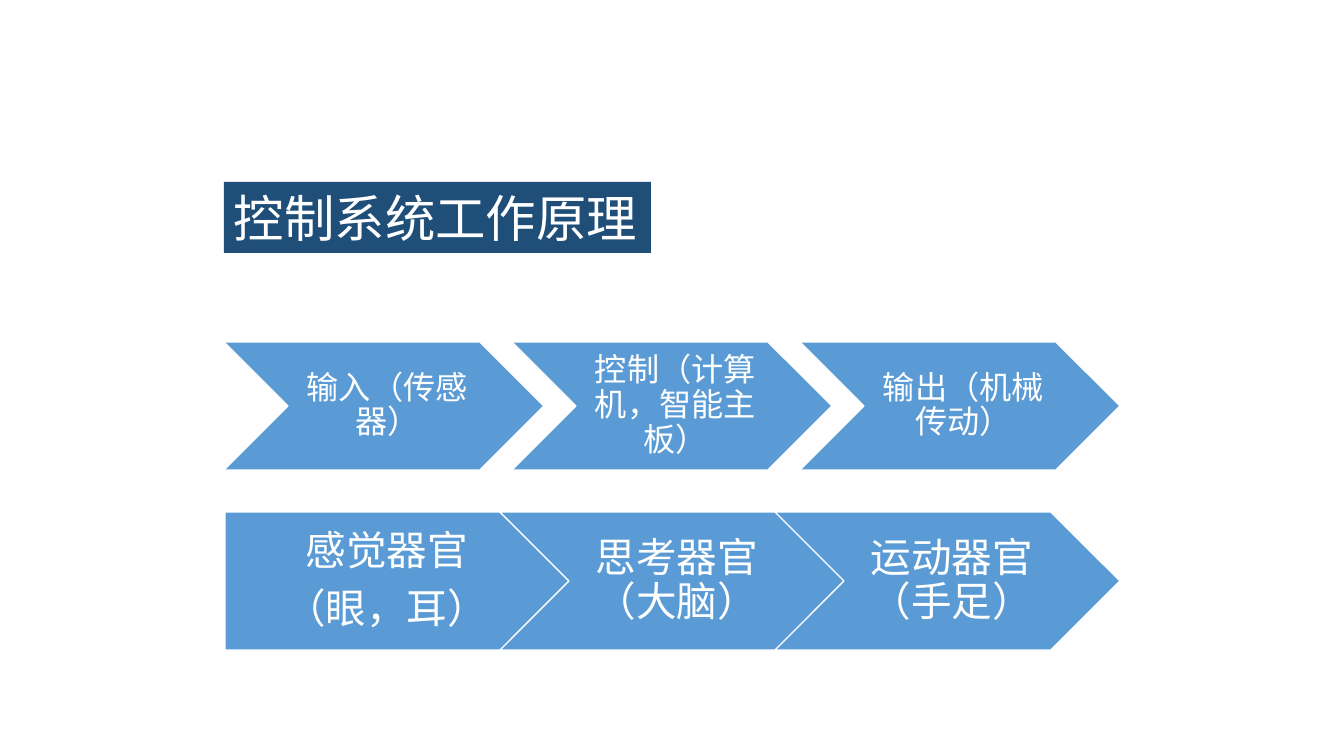
from dataclasses import dataclass
from lxml import etree
from pptx import Presentation, util as u
from pptx.dml.color import RGBColor
from pptx.enum import shapes, text
from pptx.oxml.ns import qn

PX = 914400 / 100.8
CHEVRON = shapes.MSO_SHAPE.CHEVRON
PLATE = shapes.MSO_SHAPE.PENTAGON


@dataclass(frozen=True)
class Theme:
    font: str = "Noto Sans CJK SC"
    white: str = "FFFFFF"
    blue: str = "5B9BD5"
    navy: str = "1F4E79"
    title: int = 36
    upper: int = 23
    lower: int = 29


theme = Theme()

TITLE = "控制系统工作原理"
# Insets run left, top, right, bottom.
ROWS = [
    dict(left=224, top=342, width=320, height=128, step=288, size=theme.upper,
         steps=[(CHEVRON, ["输入（传感器）"], (10, 3, 3, 3)),
                (CHEVRON, ["控制（计算机，智能主板）"], (10, 3, 3, 3)),
                (CHEVRON, ["输出（机械传动）"], (10, 3, 3, 3))]),
    dict(left=225, top=512, width=345, height=138, step=275, size=theme.lower,
         steps=[(PLATE, ["感觉器官", "（眼，耳）"], (17, 8, 4, 8)),
                (CHEVRON, ["思考器官（大脑）"], (13, 8, 4, 8)),
                (CHEVRON, ["运动器官（手足）"], (13, 8, 4, 8))]),
]


def px(n):
    return u.Emu(round(n * PX))


def block(slide, kind, box, fill, lines, size, insets, align):
    """Add a filled shape with its text and return it."""
    shape = slide.shapes.add_shape(kind, *map(px, box))
    shape.shadow.inherit = False
    shape.fill.solid()
    shape.fill.fore_color.rgb = RGBColor.from_string(fill)
    frame = shape.text_frame
    frame.word_wrap = True
    frame.vertical_anchor = text.MSO_ANCHOR.MIDDLE
    (frame.margin_left, frame.margin_top,
     frame.margin_right, frame.margin_bottom) = map(px, insets)
    frame.text = "\n".join(lines)
    for para in frame.paragraphs:
        para.alignment = align
        font = para.font
        font.size = u.Pt(size)
        font.color.rgb = RGBColor.from_string(theme.white)
        font.name = theme.font
        props = para._p.pPr.find(qn("a:defRPr"))
        east = etree.Element(qn("a:ea"), typeface=theme.font)
        props.find(qn("a:latin")).addnext(east)
    return shape


def arrows(slide, row):
    """Lay out one row of arrows at an equal step."""
    for i, (kind, lines, insets) in enumerate(row["steps"]):
        box = (row["left"] + i * row["step"], row["top"],
               row["width"], row["height"])
        arrow = block(slide, kind, box, theme.blue, lines, row["size"],
                      insets, text.PP_ALIGN.CENTER)
        arrow.line.color.rgb = RGBColor.from_string(theme.white)
        arrow.line.width = u.Pt(1)
        for para in arrow.text_frame.paragraphs:
            para.line_spacing = 0.9
            para.space_after = u.Pt(round(row["size"] * 0.35))


def main():
    deck = Presentation()
    deck.slide_width, deck.slide_height = px(1344), px(756)
    slide = deck.slides.add_slide(deck.slide_layouts[6])
    for row in ROWS:
        arrows(slide, row)
    title = block(slide, shapes.MSO_SHAPE.RECTANGLE, (224, 182, 427, 71),
                  theme.navy, [TITLE], theme.title, (10, 5, 10, 5),
                  text.PP_ALIGN.LEFT)
    title.line.fill.background()
    title.text_frame.word_wrap = False
    title.text_frame.auto_size = text.MSO_AUTO_SIZE.SHAPE_TO_FIT_TEXT
    deck.save("out.pptx")


if __name__ == "__main__":
    main()
